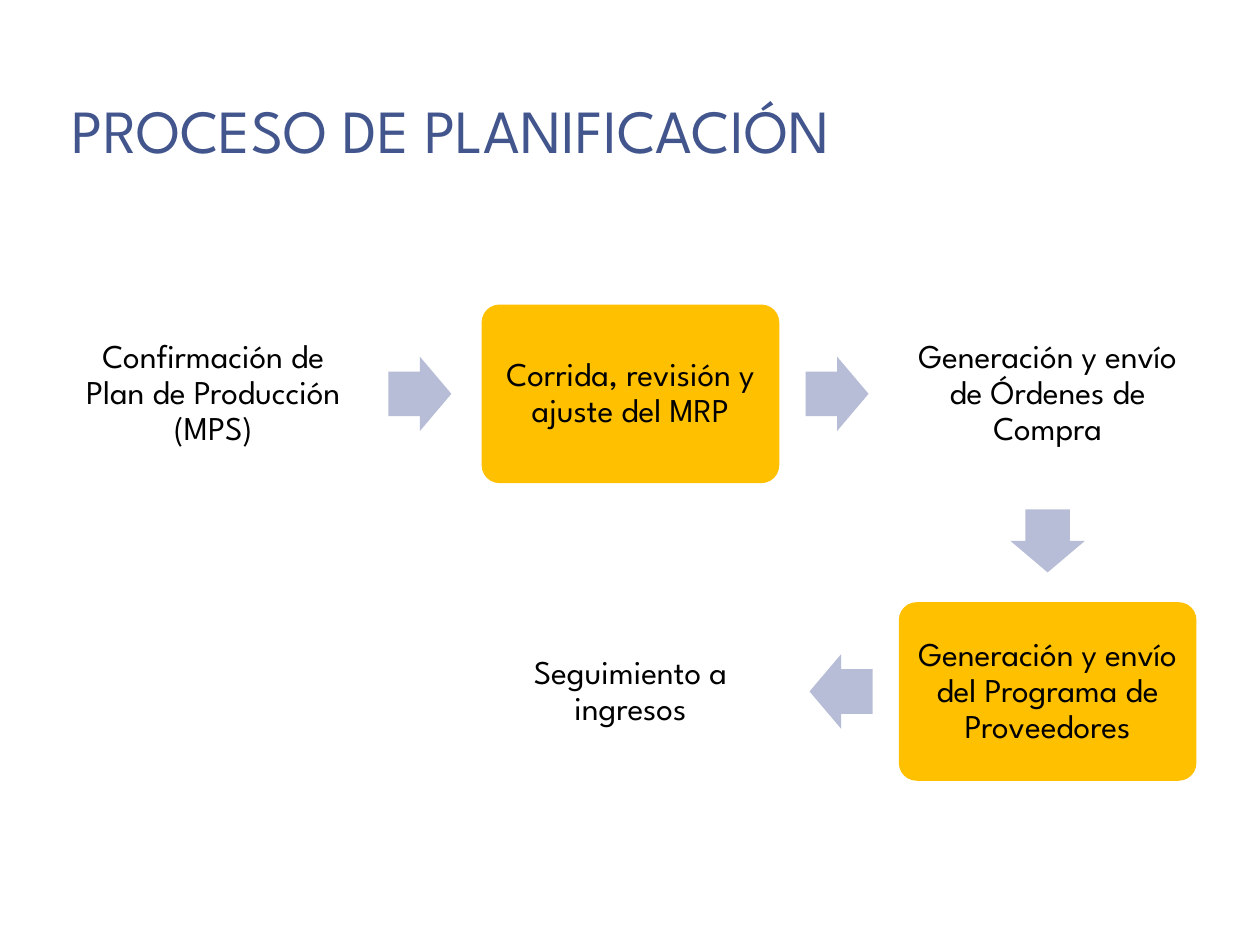
from dataclasses import dataclass

from pptx import Presentation
from pptx.dml.color import RGBColor
from pptx.enum.shapes import MSO_SHAPE
from pptx.enum.text import MSO_ANCHOR, PP_ALIGN
from pptx.shapes.autoshape import Shape
from pptx.slide import Slide
from pptx.util import Cm, Pt

COLORS = {"title": "42568D", "text": "000000", "plain": "FFFFFF",
          "accent": "FFC000", "arrow": "B7BDD6"}
FONT = "League Spartan"

# Grid of steps, in centimetres
LEFT, TOP = 1.3, 6.14
STEP_WIDTH, STEP_HEIGHT = 6.0, 3.6
COLUMN_PITCH, ROW_PITCH = 8.41, 6.0
ARROW_LENGTH, ARROW_BREADTH, ARROW_GAP = 1.27, 1.5, 0.53


@dataclass(frozen=True)
class Step:
    text: str
    column: int
    row: int
    fill: str

    @property
    def center(self) -> tuple[float, float]:
        return (LEFT + self.column * COLUMN_PITCH + STEP_WIDTH / 2,
                TOP + self.row * ROW_PITCH + STEP_HEIGHT / 2)


STEPS = [
    Step("Confirmación de Plan de Producción (MPS)", 0, 0, "plain"),
    Step("Corrida, revisión y ajuste del MRP", 1, 0, "accent"),
    Step("Generación y envío de Órdenes de Compra", 2, 0, "plain"),
    Step("Generación y envío del Programa de Proveedores", 2, 1, "accent"),
    Step("Seguimiento a ingresos", 1, 1, "plain"),
]

ARROW_KINDS = {(1, 0): MSO_SHAPE.RIGHT_ARROW, (-1, 0): MSO_SHAPE.LEFT_ARROW,
               (0, 1): MSO_SHAPE.DOWN_ARROW}


def write_text(shape: Shape, text: str, *, size: float, color: str,
               align: PP_ALIGN = PP_ALIGN.LEFT, line_spacing: float = 1.0,
               margin: float = 0.25) -> None:
    frame = shape.text_frame
    frame.word_wrap = True
    frame.vertical_anchor = MSO_ANCHOR.MIDDLE
    frame.margin_left = frame.margin_right = Cm(margin)
    frame.margin_top = frame.margin_bottom = Cm(margin)
    paragraph = frame.paragraphs[0]
    paragraph.alignment = align
    paragraph.line_spacing = line_spacing
    run = paragraph.add_run()
    run.text = text
    run.font.name = FONT
    run.font.size = Pt(size)
    run.font.color.rgb = RGBColor.from_string(COLORS[color])


def add_centered_shape(slide: Slide, kind: MSO_SHAPE, center: tuple[float, float],
                       width: float, height: float, fill: str,
                       adjustments: list[float]) -> Shape:
    x, y = center
    shape = slide.shapes.add_shape(kind, Cm(x - width / 2), Cm(y - height / 2),
                                   Cm(width), Cm(height))
    shape.shadow.inherit = False
    shape.fill.solid()
    shape.fill.fore_color.rgb = RGBColor.from_string(COLORS[fill])
    shape.line.fill.background()
    for index, value in enumerate(adjustments):
        shape.adjustments[index] = value
    return shape


def add_step(slide: Slide, step: Step) -> None:
    shape = add_centered_shape(slide, MSO_SHAPE.ROUNDED_RECTANGLE, step.center,
                               STEP_WIDTH, STEP_HEIGHT, step.fill, [0.1])
    write_text(shape, step.text, size=19, color="text", align=PP_ALIGN.CENTER,
               line_spacing=0.9, margin=0.2)


def add_arrow(slide: Slide, start: Step, end: Step) -> None:
    """Place a block arrow just past the side of start that faces end."""
    across, down = end.column - start.column, end.row - start.row
    x, y = start.center
    offset = ARROW_GAP + ARROW_LENGTH / 2
    center = (x + across * (STEP_WIDTH / 2 + offset),
              y + down * (STEP_HEIGHT / 2 + offset))
    width, height = ((ARROW_LENGTH, ARROW_BREADTH) if across
                     else (ARROW_BREADTH, ARROW_LENGTH))
    add_centered_shape(slide, ARROW_KINDS[across, down], center, width, height,
                       "arrow", [0.6, 0.5])


def main() -> None:
    presentation = Presentation()
    presentation.slide_width, presentation.slide_height = Cm(25.4), Cm(19.05)
    slide = presentation.slides.add_slide(presentation.slide_layouts[6])

    # Title
    title = slide.shapes.add_textbox(Cm(1.2), Cm(1.15), Cm(22.93), Cm(2.9))
    write_text(title, "PROCESO DE PLANIFICACIÓN", size=35, color="title")

    # Steps, each followed by an arrow to the next
    for step, following in zip(STEPS, STEPS[1:] + [None]):
        add_step(slide, step)
        if following:
            add_arrow(slide, step, following)

    presentation.save("out.pptx")


if __name__ == "__main__":
    main()
